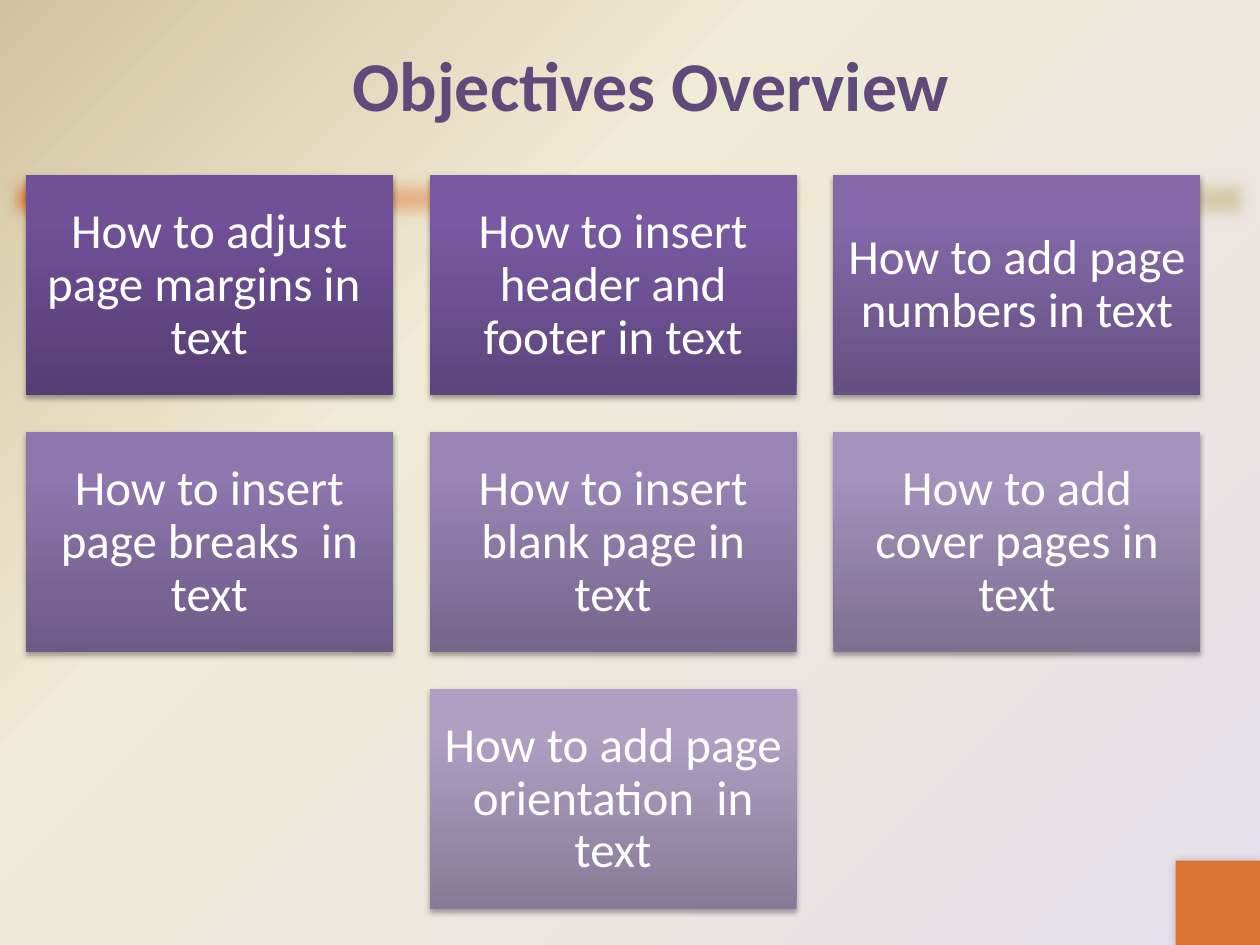
from pptx import Presentation
from pptx.dml.color import RGBColor
from pptx.enum.shapes import MSO_SHAPE
from pptx.enum.text import MSO_ANCHOR, PP_ALIGN
from pptx.oxml import parse_xml
from pptx.oxml.ns import nsdecls, qn
from pptx.util import Cm, Pt

COLORS = {"title": "604A7B", "text": "FFFFFF", "orange": "DB7531",
          "lilac": "E6E0EC", "cream": "F0EBD5", "tan": "D1C39F"}
FONT = "Calibri"
TITLE = "Objectives Overview"
TILES = [
    ("How to adjust page margins in  text", "563D74", "705097", "704F99"),
    ("How to insert header and footer in text", "5D457D", "7959A2", "7A58A4"),
    ("How to add page numbers in text", "655081", "8468A8", "8467AA"),
    ("How to insert page breaks  in text", "6D5B86", "8E76AE", "8E75B0"),
    ("How to insert blank page in text", "75668B", "9884B5", "9984B7"),
    ("How to add cover pages in text", "7D7090", "A392BC", "A492BD"),
    ("How to add page orientation  in text", "867B96", "AE9FC3", "AE9FC4"),
]
COLUMNS = 3
LEFT, TOP = 0.52, 3.53
TILE_W, TILE_H, GAP = 7.4, 4.44, 0.74

LINEAR = '<a:lin {} ang="{}" scaled="0"/>'
CORNER = '<a:path {} path="circle"><a:fillToRect l="100000" t="100000"/></a:path>'
SOFT_EDGE = '<a:softEdge {} rad="{}"/>'
SHADOW = ('<a:outerShdw {} blurRad="{}" dist="{}" dir="{}" rotWithShape="0">'
          '<a:srgbClr val="000000"><a:alpha val="{}"/></a:srgbClr></a:outerShdw>')


def xml(template, *values):
    return parse_xml(template.format(nsdecls("a"), *values))


def set_gradient(fill, owner, stops, direction):
    fill.gradient()
    grad = next(owner.iter(qn("a:gradFill")))
    for child in list(grad):
        grad.remove(child)
    items = "".join(f'<a:gs pos="{pos * 1000}"><a:srgbClr val="{color}"/></a:gs>'
                    for pos, color in stops)
    grad.append(xml("<a:gsLst {}>{}</a:gsLst>", items))
    grad.append(direction)


def add_rect(x, y, w, h, effect):
    sp = slide.shapes.add_shape(MSO_SHAPE.RECTANGLE, Cm(x), Cm(y), Cm(w), Cm(h))
    sp.line.fill.background()
    sp.shadow.inherit = False
    sp._element.spPr.find(qn("a:effectLst")).append(effect)
    return sp


def set_text(sp, text, size, color, bold=False):
    tf = sp.text_frame
    tf.word_wrap = True
    tf.vertical_anchor = MSO_ANCHOR.MIDDLE
    p = tf.paragraphs[0]
    p.text = text
    p.alignment = PP_ALIGN.CENTER
    p.font.name, p.font.size, p.font.bold = FONT, Pt(size), bold
    p.font.color.rgb = RGBColor.from_string(color)
    return tf


prs = Presentation()
prs.slide_width, prs.slide_height = Cm(25.4), Cm(19.05)
slide = prs.slides.add_slide(prs.slide_layouts[6])
set_gradient(slide.background.fill, slide._element,
             [(0, COLORS["lilac"]), (65, COLORS["cream"]), (100, COLORS["tan"])],
             xml(CORNER))

bar = add_rect(0, 3.38, 25.4, 1.27, xml(SOFT_EDGE, Pt(10)))
set_gradient(bar.fill, bar._element,
             [(0, COLORS["orange"]), (65, COLORS["cream"]), (100, COLORS["tan"])],
             xml(LINEAR, 45 * 60000))

corner = add_rect(23.7, 17.35, 1.7, 1.7, xml(SHADOW, Pt(6), 0, 225 * 60000, 20000))
corner.fill.solid()
corner.fill.fore_color.rgb = RGBColor.from_string(COLORS["orange"])

title = slide.shapes.add_textbox(Cm(0.84), Cm(0.1), Cm(24.56), Cm(3.18))
set_text(title, TITLE, 40, COLORS["title"], bold=True)

for i, (text, bottom, upper, top) in enumerate(TILES):
    row, col = divmod(i, COLUMNS)
    in_row = min(COLUMNS, len(TILES) - row * COLUMNS)
    x = LEFT + (col + (COLUMNS - in_row) / 2) * (TILE_W + GAP)
    y = TOP + row * (TILE_H + GAP)
    tile = add_rect(x, y, TILE_W, TILE_H,
                    xml(SHADOW, Pt(3.1), Pt(1.8), 90 * 60000, 35000))
    set_gradient(tile.fill, tile._element, [(0, bottom), (80, upper), (100, top)],
                 xml(LINEAR, 270 * 60000))
    tf = set_text(tile, text, 28, COLORS["text"])
    tf.margin_left = tf.margin_right = tf.margin_top = tf.margin_bottom = Cm(0.28)
    tf.paragraphs[0].line_spacing = 0.9

prs.save("out.pptx")
